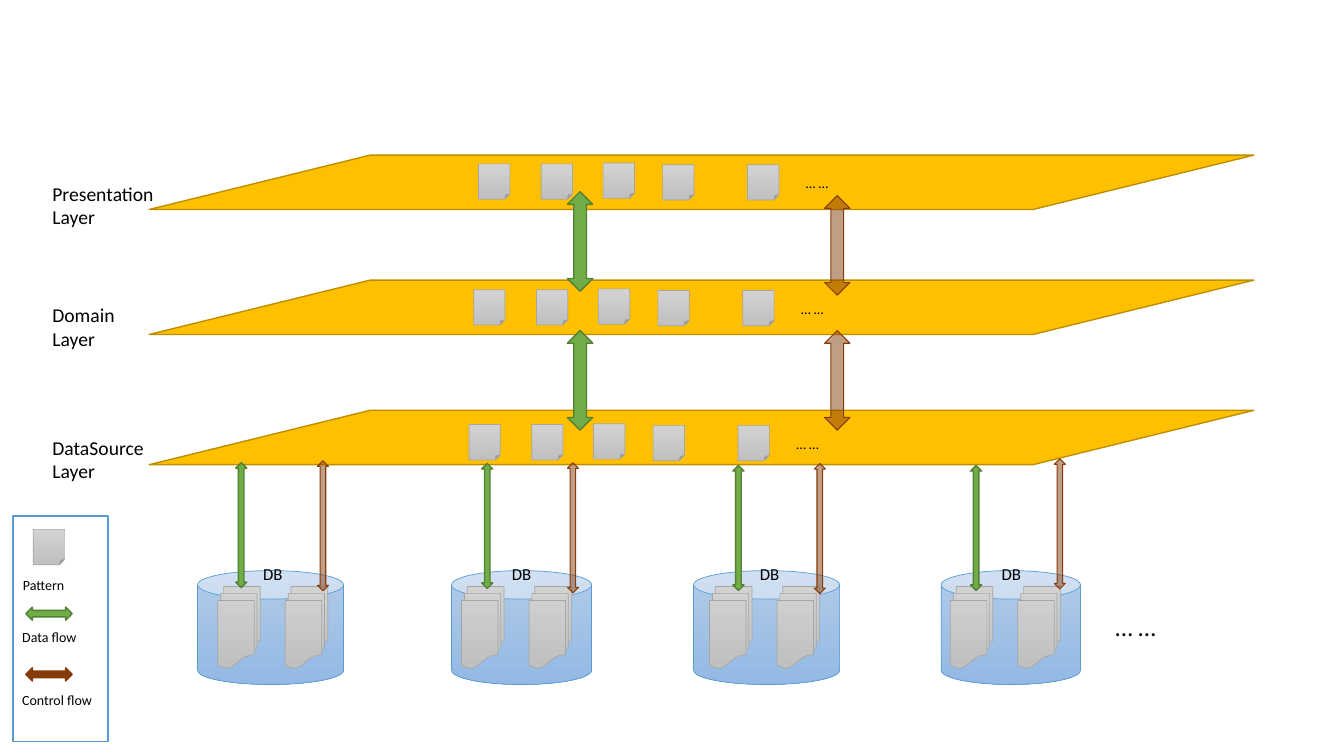
from dataclasses import dataclass

from lxml import etree
from pptx import Presentation
from pptx.dml.color import RGBColor
from pptx.enum.shapes import MSO_SHAPE
from pptx.enum.text import MSO_AUTO_SIZE
from pptx.oxml.ns import qn
from pptx.shapes.autoshape import Shape
from pptx.shapes.shapetree import SlideShapes
from pptx.util import Cm, Pt

RECTANGLE = MSO_SHAPE.RECTANGLE
CAN = MSO_SHAPE.CAN
DOCUMENTS = MSO_SHAPE.FLOWCHART_MULTIDOCUMENT
PARALLELOGRAM = MSO_SHAPE.FLOWCHART_DATA
FOLDED_CORNER = MSO_SHAPE.FOLDED_CORNER
UP_DOWN_ARROW = MSO_SHAPE.UP_DOWN_ARROW
GROW_TO_TEXT = MSO_AUTO_SIZE.SHAPE_TO_FIT_TEXT

FONT = "Calibri"
ELLIPSIS = "… …"
COLORS = {
    "text": "000000",
    "white": "FFFFFF",
    "blue_line": "5B9BD5",
    "blue_top": "B1CBE9",
    "blue_bottom": "93B9E4",
    "grey_line": "A5A5A5",
    "grey_top": "D2D2D2",
    "grey_bottom": "C0C0C0",
    "layer": "FFC000",
    "layer_line": "BD8E00",
    "data": "70AD47",
    "data_line": "538035",
    "control": "843C0B",
}


@dataclass(frozen=True)
class Look:
    """One fill color is solid, two run from top to bottom."""
    fill: tuple[str, ...]
    line: str
    line_width: float
    opacity: int = 100


@dataclass(frozen=True)
class Layer:
    label: str
    top: float
    label_top: float
    patterns_left: float
    patterns_top: float


@dataclass(frozen=True)
class Database:
    left: float
    width: float
    label_left: float
    documents_left: float
    data_left: float
    data_top: float
    control_left: float
    control_top: float


LEGEND_FRAME = Look(("white",), "blue_line", 1)
DATABASE = Look(("blue_top", "blue_bottom"), "blue_line", 0.5)
PATTERN = Look(("grey_top", "grey_bottom"), "grey_line", 0.5)
LAYER = Look(("layer",), "layer_line", 1)
DATA_FLOW = Look(("data",), "data_line", 1)
CONTROL_FLOW = Look(("control",), "control", 0.75, opacity=50)
CONTROL_KEY = Look(("control",), "control", 1)

LAYERS = [
    Layer("DataSource Layer", 10.34, 10.85, 11.82, 10.7),
    Layer("Domain Layer", 7.06, 7.52, 11.94, 7.3),
    Layer("Presentation Layer", 3.91, 4.45, 12.06, 4.13),
]
DATABASES = [
    Database(4.98, 3.68, 6.38, 5.49, 5.94, 11.66, 8.0, 11.61),
    Database(11.38, 3.53, 12.65, 11.63, 12.14, 11.68, 14.3, 11.66),
    Database(17.48, 3.68, 18.9, 17.88, 18.47, 11.73, 20.52, 11.68),
    Database(23.72, 3.51, 24.99, 23.95, 24.46, 11.73, 26.57, 11.56),
]
DOCUMENT_STEP = 1.7
PATTERN_OFFSETS = [(0, 0), (1.58, 0), (3.14, -0.02), (4.64, 0.02), (6.78, 0.02)]
ELLIPSIS_OFFSET = (8.0, 0.14)
DATA_LEFT, DATA_TOPS = 14.3, (8.33, 4.83)
CONTROL_LEFT, CONTROL_TOPS = 20.78, (8.33, 4.93)


def rgb(name: str) -> RGBColor:
    return RGBColor.from_string(COLORS[name])


def add_figure(shapes: SlideShapes, kind: MSO_SHAPE, look: Look,
               left: float, top: float, width: float, height: float) -> Shape:
    figure = shapes.add_shape(kind, Cm(left), Cm(top), Cm(width), Cm(height))
    figure.shadow.inherit = False
    if len(look.fill) > 1:
        figure.fill.gradient()
        figure.fill.gradient_angle = 270
        for stop, name in zip(figure.fill.gradient_stops, look.fill):
            stop.color.rgb = rgb(name)
    else:
        figure.fill.solid()
        figure.fill.fore_color.rgb = rgb(look.fill[0])
    if look.opacity < 100:
        color = figure._element.spPr.find(qn("a:solidFill")).find(qn("a:srgbClr"))
        etree.SubElement(color, qn("a:alpha"), val=str(look.opacity * 1000))
    figure.line.color.rgb = rgb(look.line)
    figure.line.width = Pt(look.line_width)
    return figure


def add_label(shapes: SlideShapes, text: str, size: float,
              left: float, top: float, width: float, height: float) -> None:
    frame = shapes.add_textbox(Cm(left), Cm(top), Cm(width), Cm(height)).text_frame
    frame.word_wrap = True
    frame.auto_size = GROW_TO_TEXT
    run = frame.paragraphs[0].add_run()
    run.text = text
    run.font.name = FONT
    run.font.size = Pt(size)
    run.font.color.rgb = rgb("text")


def add_pattern(shapes: SlideShapes, left: float, top: float) -> None:
    add_figure(shapes, FOLDED_CORNER, PATTERN, left, top, 0.79, 0.89)


def add_small_label(shapes: SlideShapes, text: str, left: float, top: float) -> None:
    add_label(shapes, text, 10, left, top, 2.31, 0.69)


def add_databases(shapes: SlideShapes) -> None:
    for db in DATABASES:
        add_figure(shapes, CAN, DATABASE, db.left, 14.38, db.width, 2.87)
        add_label(shapes, "DB", 12, db.label_left, 14.09, 1.12, 0.76)
        for column in range(2):
            add_figure(shapes, DOCUMENTS, PATTERN,
                       db.documents_left + column * DOCUMENT_STEP, 14.78, 1.07, 2.06)
    add_label(shapes, ELLIPSIS, 18, 27.86, 15.29, 2.92, 1.02)


def add_layers(shapes: SlideShapes) -> None:
    for layer in LAYERS:
        add_figure(shapes, PARALLELOGRAM, LAYER, 3.76, layer.top, 27.84, 1.37)
        add_label(shapes, layer.label, 14, 1.07, layer.label_top, 3.15, 1.45)


def add_flows(shapes: SlideShapes) -> None:
    for db in DATABASES:
        add_figure(shapes, UP_DOWN_ARROW, DATA_FLOW,
                   db.data_left, db.data_top, 0.28, 3.15)
        add_figure(shapes, UP_DOWN_ARROW, CONTROL_FLOW,
                   db.control_left, db.control_top, 0.28, 3.28)
    for look, left, tops in ((DATA_FLOW, DATA_LEFT, DATA_TOPS),
                             (CONTROL_FLOW, CONTROL_LEFT, CONTROL_TOPS)):
        for top in tops:
            add_figure(shapes, UP_DOWN_ARROW, look, left, top, 0.64, 2.51)


def add_layer_patterns(shapes: SlideShapes) -> None:
    for layer in LAYERS:
        for right, down in PATTERN_OFFSETS:
            add_pattern(shapes, layer.patterns_left + right, layer.patterns_top + down)
        right, down = ELLIPSIS_OFFSET
        add_small_label(shapes, ELLIPSIS,
                        layer.patterns_left + right, layer.patterns_top + down)


def add_legend(shapes: SlideShapes) -> None:
    add_figure(shapes, RECTANGLE, LEGEND_FRAME, 0.33, 13.0, 2.39, 5.69)
    add_pattern(shapes, 0.84, 13.34)
    add_small_label(shapes, "Pattern", 0.33, 14.4)
    for look, text, arrow_top, label_top in (
            (DATA_FLOW, "Data flow", 14.88, 15.72),
            (CONTROL_KEY, "Control flow", 16.41, 17.3)):
        arrow = add_figure(shapes, UP_DOWN_ARROW, look, 1.07, arrow_top, 0.33, 1.17)
        arrow.rotation = 90
        add_small_label(shapes, text, 0.31, label_top)


def main() -> None:
    deck = Presentation()
    deck.slide_width, deck.slide_height = Cm(33.87), Cm(19.05)
    shapes = deck.slides.add_slide(deck.slide_layouts.get_by_name("Blank")).shapes
    add_legend(shapes)
    add_databases(shapes)
    add_layers(shapes)
    add_flows(shapes)
    add_layer_patterns(shapes)
    deck.save("out.pptx")


if __name__ == "__main__":
    main()
